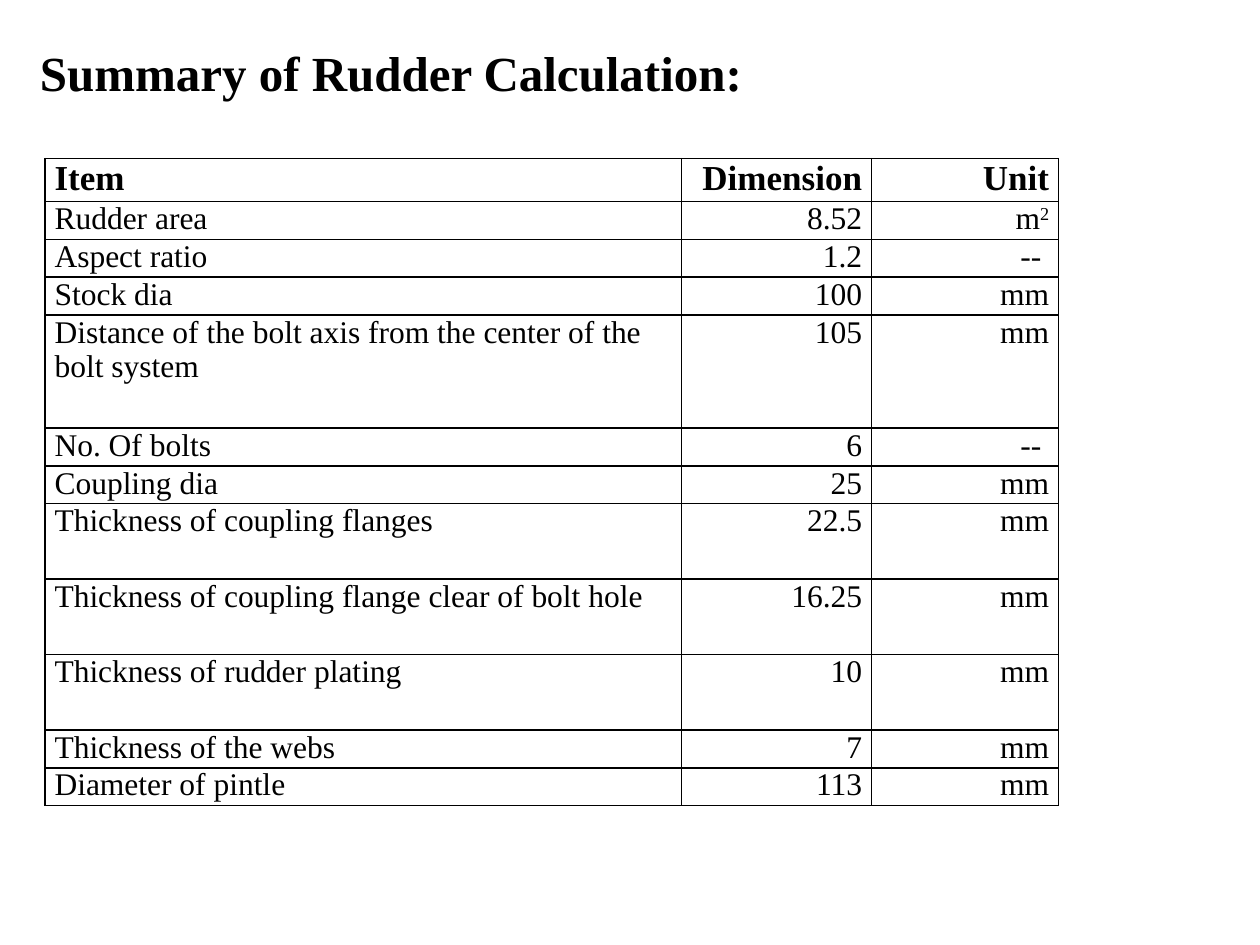
"""Build the rudder calculation summary slide."""
from dataclasses import dataclass

from lxml.etree import SubElement
from pptx import Presentation
from pptx.dml.color import RGBColor
from pptx.enum.text import MSO_ANCHOR as Anchor, MSO_AUTO_SIZE as AutoSize, PP_ALIGN as Align
from pptx.oxml.ns import qn
from pptx.util import Cm, Pt


@dataclass(frozen=True)
class Theme:
    """Hold the colours, font and type sizes of the slide."""
    font: str = "Times New Roman"
    ink: str = "000000"
    title_size: int = 28
    header_size: int = 20
    body_size: int = 18
    border_width: int = 1


THEME = Theme()
HEADER_HEIGHT = 0.86
LINE_HEIGHT = 0.76
COLUMN_WIDTHS = (12.83, 3.83, 3.77)
HEADERS = ("Item", "Dimension", "Unit")
ITEMS = (
    ("Rudder area", "8.52", "m^2", 1),
    ("Aspect ratio", "1.2", "-- ", 1),
    ("Stock dia", "100", "mm", 1),
    ("Distance of the bolt axis from the center of the bolt system", "105", "mm", 3),
    ("No. Of bolts", "6", "-- ", 1),
    ("Coupling dia", "25", "mm", 1),
    ("Thickness of coupling flanges", "22.5", "mm", 2),
    ("Thickness of coupling flange clear of bolt hole", "16.25", "mm", 2),
    ("Thickness of rudder plating", "10", "mm", 2),
    ("Thickness of the webs", "7", "mm", 1),
    ("Diameter of pintle", "113", "mm", 1),
)


def add_run(paragraph, text, size, bold=False, superscript=False):
    """Append one formatted run to a paragraph."""
    run = paragraph.add_run()
    run.text = text
    run.font.name = THEME.font
    run.font.size = Pt(size)
    run.font.bold = bold
    run.font.color.rgb = RGBColor.from_string(THEME.ink)
    if superscript:
        run._r.get_or_add_rPr().set("baseline", "30000")


def set_title(slide, text):
    """Place and format the title placeholder."""
    title = slide.shapes.title
    title.left, title.top, title.width, title.height = Cm(0.53), Cm(0.76), Cm(14.7), Cm(1.4)
    frame = title.text_frame
    frame.word_wrap = False
    frame.auto_size = AutoSize.SHAPE_TO_FIT_TEXT
    frame.vertical_anchor = Anchor.TOP
    frame.margin_left = frame.margin_right = Cm(0.19)
    frame.margin_top = frame.margin_bottom = Cm(0.1)
    paragraph = frame.paragraphs[0]
    paragraph.alignment = Align.CENTER
    add_run(paragraph, text, THEME.title_size, bold=True)


def add_borders(cell):
    """Draw a solid line on all four sides of a cell."""
    properties = cell._tc.get_or_add_tcPr()
    for side in ("lnL", "lnR", "lnT", "lnB"):
        line = SubElement(properties, qn(f"a:{side}"), w=str(Pt(THEME.border_width)))
        fill = SubElement(line, qn("a:solidFill"))
        SubElement(fill, qn("a:srgbClr"), val=THEME.ink)


def fill_cell(cell, text, size, alignment, bold):
    """Format a cell and write its text, raising what follows a caret."""
    add_borders(cell)
    cell.fill.background()
    cell.margin_left = cell.margin_right = Cm(0.19)
    cell.margin_top = cell.margin_bottom = 0
    paragraph = cell.text_frame.paragraphs[0]
    paragraph.alignment = alignment
    base, _, exponent = text.partition("^")
    add_run(paragraph, base, size, bold)
    if exponent:
        add_run(paragraph, exponent, size, bold, superscript=True)


def add_summary_table(slide):
    """Add the table of rudder dimensions."""
    heights = [HEADER_HEIGHT] + [lines * LINE_HEIGHT for *_, lines in ITEMS]
    table = slide.shapes.add_table(
        len(heights), len(HEADERS), Cm(0.91), Cm(3.2),
        Cm(sum(COLUMN_WIDTHS)), Cm(sum(heights)),
    ).table
    table.first_row = table.horz_banding = False
    for column, width in zip(table.columns, COLUMN_WIDTHS):
        column.width = Cm(width)
    texts = [HEADERS] + [item[:3] for item in ITEMS]
    for index, (row, height, values) in enumerate(zip(table.rows, heights, texts)):
        row.height = Cm(height)
        is_header = index == 0
        size = THEME.header_size if is_header else THEME.body_size
        for position, (cell, text) in enumerate(zip(row.cells, values)):
            alignment = Align.RIGHT if position else Align.LEFT
            fill_cell(cell, text, size, alignment, is_header)


def main():
    """Build and save the presentation."""
    presentation = Presentation()
    presentation.slide_width, presentation.slide_height = Cm(25.4), Cm(19.05)
    slide = presentation.slides.add_slide(presentation.slide_layouts[5])
    set_title(slide, "Summary of Rudder Calculation:")
    add_summary_table(slide)
    presentation.save("out.pptx")


if __name__ == "__main__":
    main()
